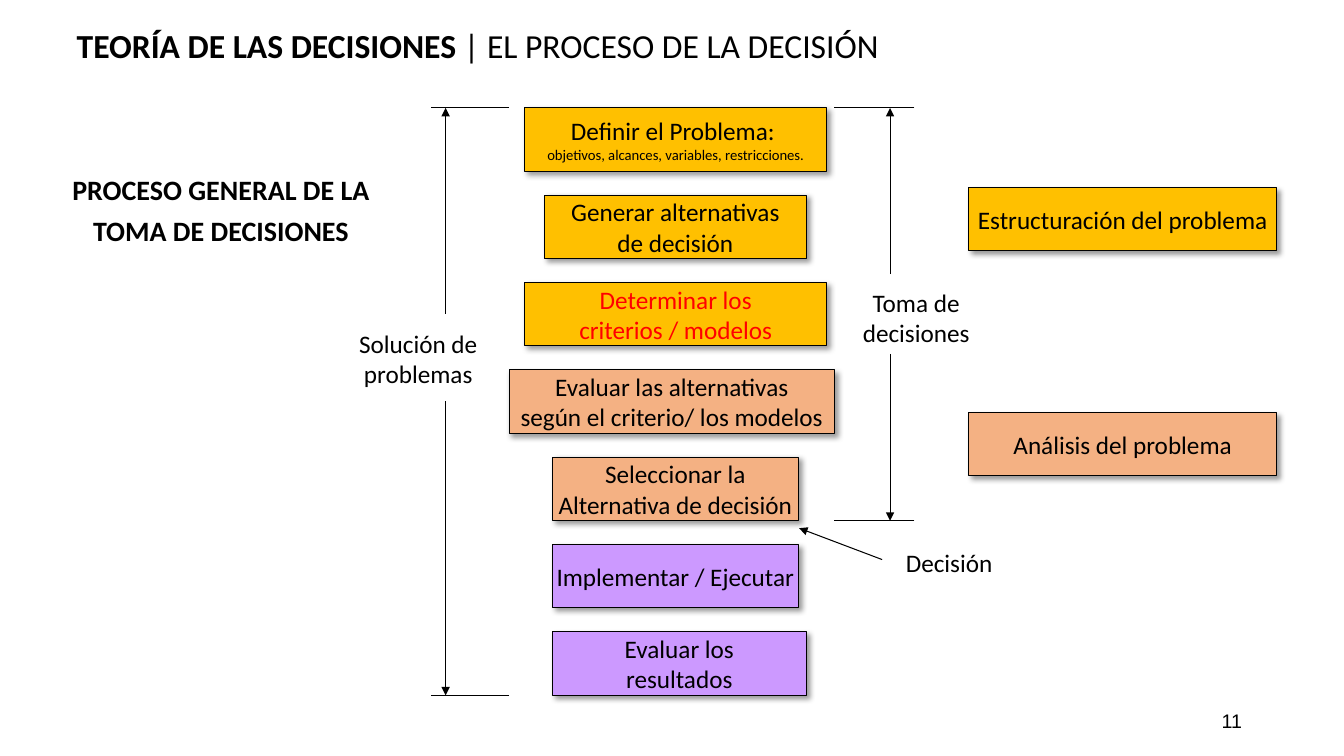
"""Builds the slide on the general decision-making process."""
from dataclasses import dataclass

from lxml import etree
from pptx import Presentation
from pptx import util as u
from pptx.dml.color import RGBColor
from pptx.enum import shapes, text
from pptx.oxml import ns


@dataclass(frozen=True)
class Theme:
    """Colours, fonts and type sizes."""
    ink: str = "000000"
    red: str = "FF0000"
    gold: str = "FFC000"
    peach: str = "F4B183"
    lilac: str = "CC99FF"
    font: str = "Calibri"
    plain: str = "Arial"
    head: float = 24
    sub: float = 20
    base: float = 18
    page: float = 14
    small: float = 10.5
    rule: float = 0.75


MID = text.PP_ALIGN.CENTER


def node(top, tag, **vals):
    """Append an XML element with the given attributes."""
    return etree.SubElement(top, ns.qn(tag), vals)


def apply(item, vals):
    """Set attributes from a dict of format values."""
    for name, val in vals.items():
        setattr(item, name, val)


class Deck:
    """Holds the theme and the current slide."""

    def __init__(self, prs, theme):
        """Add a slide with a title and a body."""
        self.theme = theme
        self.slide = prs.slides.add_slide(prs.slide_layouts[1])

    def phrase(self, par, words, size, tint=None, font=None, bold=False):
        """Add a formatted run to a paragraph."""
        run = par.add_run()
        run.text = words
        apply(run.font, {"size": u.Pt(size), "bold": bold,
                         "name": font or self.theme.font})
        run.font.color.rgb = RGBColor.from_string(tint or self.theme.ink)

    def frame(self, shape, anchor, wrap=True):
        """Set up a text frame and return its first paragraph."""
        apply(shape.text_frame, {"vertical_anchor": anchor, "word_wrap": wrap,
                                 "auto_size": text.MSO_AUTO_SIZE.NONE})
        return shape.text_frame.paragraphs[0]

    def holder(self, spot, box, runs, anchor, form):
        """Move and fill a placeholder."""
        shape = self.slide.placeholders[spot]
        names = ("left", "top", "width", "height")
        apply(shape, dict(zip(names, map(u.Cm, box))))
        par = self.frame(shape, anchor)
        apply(par, form)
        props = par._p.get_or_add_pPr()
        for name in ("marL", "indent"):
            props.set(name, "0")
        node(props, "a:buNone")
        for words, size, bold in runs:
            self.phrase(par, words, size, bold=bold)

    def label(self, box, words, size, align=MID, font=None,
              anchor=text.MSO_ANCHOR.TOP):
        """Add a wrapped text box."""
        par = self.frame(self.slide.shapes.add_textbox(*map(u.Cm, box)), anchor)
        par.alignment = align
        self.phrase(par, words, size, font=font)

    def block(self, box, fill, lines, tint=None, note=None):
        """Add a filled box with a soft shadow and centred lines."""
        shape = self.slide.shapes.add_shape(
            shapes.MSO_SHAPE.RECTANGLE, *map(u.Cm, box))
        shape.fill.solid()
        shape.fill.fore_color.rgb = RGBColor.from_string(fill)
        self.stroke(shape.line)
        shape.shadow.inherit = False
        glow = node(shape._element.spPr.find(ns.qn("a:effectLst")),
                    "a:outerShdw", blurRad=str(u.Pt(4)), dist=str(u.Pt(3)),
                    dir="2700000", algn="tl", rotWithShape="0")
        node(node(glow, "a:srgbClr", val=self.theme.ink), "a:alpha", val="40000")
        par = self.frame(shape, text.MSO_ANCHOR.MIDDLE, False)
        for spot, words in enumerate(lines):
            if spot:
                par = shape.text_frame.add_paragraph()
            par.alignment = MID
            self.phrase(par, words, self.theme.base, tint)
        if note:
            par.add_line_break()
            self.phrase(par, note, self.theme.small)

    def stroke(self, line):
        """Give a line its width and colour."""
        line.width = u.Pt(self.theme.rule)
        line.color.rgb = RGBColor.from_string(self.theme.ink)

    def line(self, ends, arrow=False):
        """Add a straight line, with an arrowhead at its end if asked."""
        link = self.slide.shapes.add_connector(
            shapes.MSO_CONNECTOR.STRAIGHT, *map(u.Cm, ends))
        self.stroke(link.line)
        props = link._element.spPr
        if arrow:
            node(props.find(ns.qn("a:ln")), "a:tailEnd", type="triangle")
        node(props, "a:effectLst")

    def span(self, left, right, axis, top, low, gap):
        """Add a vertical bracket with arrows leaving a gap for its label."""
        for edge, start in zip((top, low), gap):
            self.line((right, edge, left, edge))
            self.line((axis, start, axis, edge), True)


def main():
    """Build and save the slide."""
    prs = Presentation()
    apply(prs, {"slide_width": u.Cm(33.87), "slide_height": u.Cm(19.05)})
    look = Theme()
    deck = Deck(prs, look)
    deck.holder(0, (1.68, 0.71, 26.64, 1.07),
                [("TEORÍA DE LAS DECISIONES ", look.head, True),
                 ("| EL PROCESO DE LA DECISIÓN", look.head, False)],
                text.MSO_ANCHOR.BOTTOM,
                {"alignment": text.PP_ALIGN.LEFT, "line_spacing": 0.9})
    deck.holder(1, (1.52, 4.06, 8.1, 2.24),
                [("PROCESO GENERAL DE LA TOMA DE DECISIONES", look.sub, True)],
                text.MSO_ANCHOR.TOP,
                {"alignment": MID, "line_spacing": 1.2, "space_before": u.Pt(0)})
    top, pitch, high = 2.72, 2.2, 1.6
    steps = [
        (13.23, 7.6, look.gold, ["Definir el Problema: "], None,
         "objetivos, alcances, variables, restricciones."),
        (13.72, 6.6, look.gold, ["Generar alternativas", "de decisión"]),
        (13.23, 7.6, look.gold, ["Determinar los", "criterios / modelos"], look.red),
        (12.83, 8.2, look.peach,
         ["Evaluar las alternativas", "según el criterio/ los modelos"]),
        (13.92, 6.2, look.peach, ["Seleccionar la", "Alternativa de decisión"]),
        (13.92, 6.2, look.lilac, ["Implementar / Ejecutar"]),
        (13.92, 6.4, look.lilac, ["Evaluar los", "resultados"]),
    ]
    for spot, (left, wide, *rest) in enumerate(steps):
        deck.block((left, top + spot * pitch, wide, high), *rest)
    for y, fill, words in ((4.72, look.gold, "Estructuración del problema"),
                           (10.39, look.peach, "Análisis del problema")):
        deck.block((24.41, y, 7.77, high), fill, [words])
    deck.span(10.85, 12.83, 11.23, top, top + 6 * pitch + high, (7.9, 10.11))
    deck.span(21.03, 23.04, 22.43, top, top + 4 * pitch + high, (6.91, 8.92))
    deck.line((22.23, 14.1, 20.14, 13.31), True)
    for x, y, tall, words in ((8.74, 8.15, 1.8, "Solución de problemas"),
                              (21.29, 7.11, 1.8, "Toma de decisiones"),
                              (22.12, 13.67, 1.02, "Decisión")):
        deck.label((x, y, 3.6, tall), words, look.base)
    deck.label((23.93, 17.65, 7.62, 1.02), "11", look.page,
               text.PP_ALIGN.RIGHT, look.plain, text.MSO_ANCHOR.MIDDLE)
    prs.save("out.pptx")


if __name__ == "__main__":
    main()
